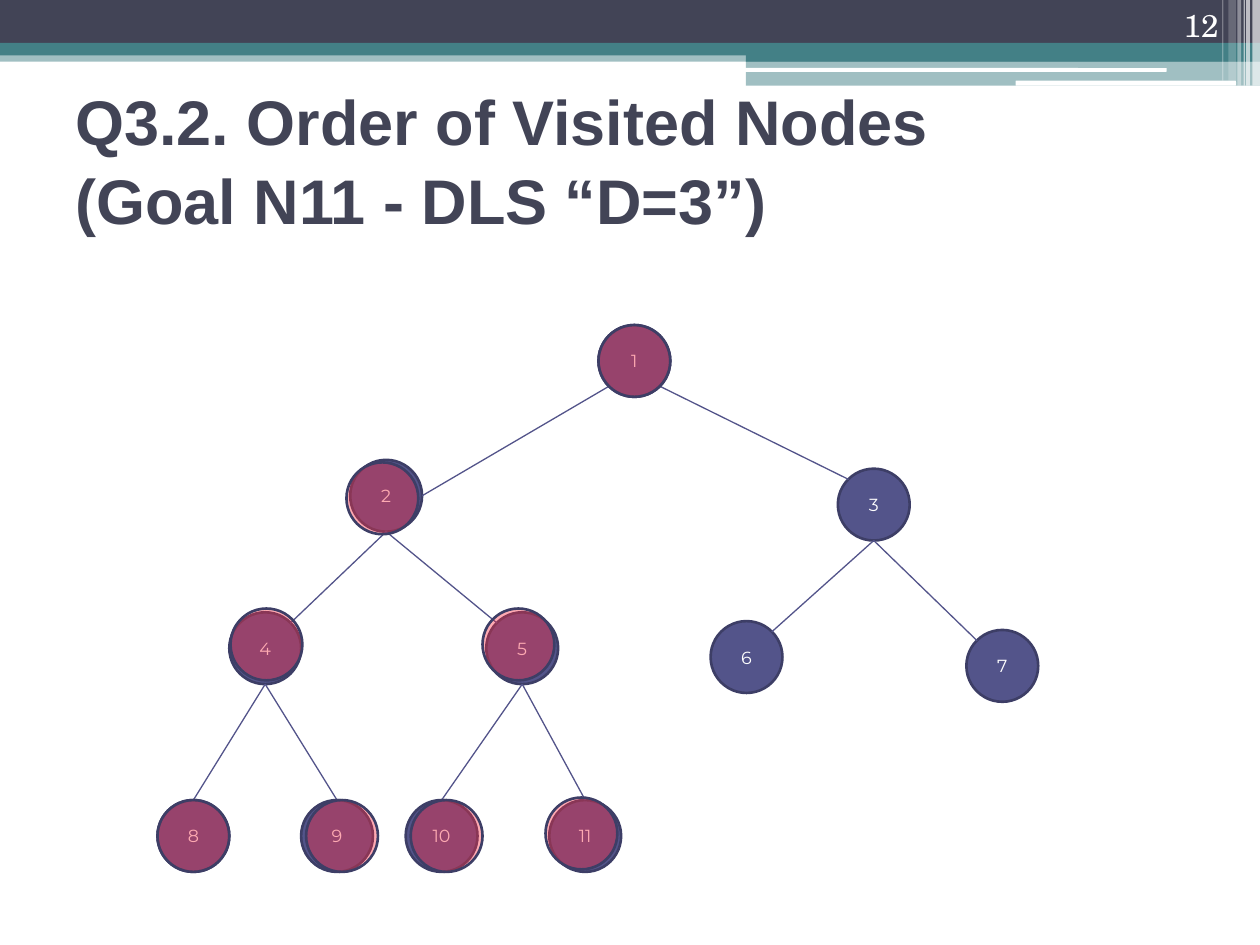
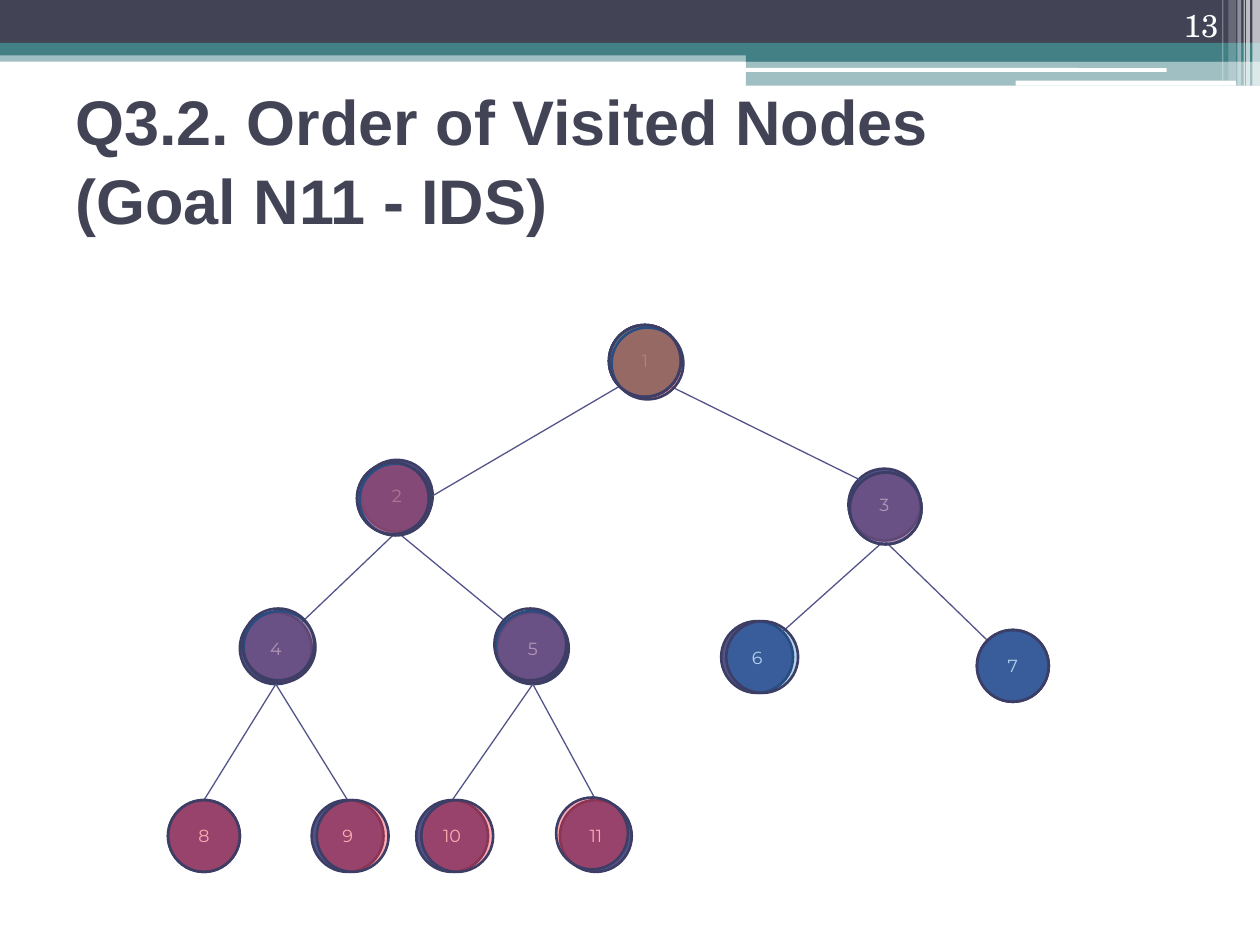
import dataclasses
import enum
import typing

import pptx
import pptx.dml.color
import pptx.enum.shapes
import pptx.enum.text
import pptx.oxml
import pptx.oxml.ns
import pptx.util

COLORS = {
    "slate": "424456",
    "teal": "438086",
    "white": "FFFFFF",
    "node": "53548A",
    "outline": "3D3E66",
    "red": "FD2B3F",
    "blue": "0070C0",
    "yellow": "FFFF00",
}
COLUMNS, ROWS = 100, 75
CELL = pptx.util.Inches(0.1)
NODE_SIZE = 5.7
MARK_OPACITY = {"red": 40, "yellow": 40, "blue": 30}

MSO = pptx.enum.shapes.MSO_SHAPE
ALIGN = pptx.enum.text.PP_ALIGN
ANCHOR = pptx.enum.text.MSO_ANCHOR


class Box(typing.NamedTuple):
    col: float
    row: float
    cols: float
    rows: float


class Site(enum.Enum):
    TOP = (0.5, 0)
    BOTTOM = (0.5, 1)
    RIGHT = (1, 0.5)
    TOP_LEFT = (0.15, 0.15)
    TOP_RIGHT = (0.85, 0.15)
    BOTTOM_LEFT = (0.15, 0.85)
    BOTTOM_RIGHT = (0.85, 0.85)


@dataclasses.dataclass(frozen=True)
class Band:
    box: Box
    color: str
    opacity: int = 100
    shape: MSO = MSO.RECTANGLE


@dataclasses.dataclass(frozen=True)
class TextStyle:
    font: str
    size: int
    color: str
    bold: bool = False
    align: ALIGN = ALIGN.LEFT
    anchor: ANCHOR = ANCHOR.MIDDLE
    spacing: float = 1.0


class Edge(typing.NamedTuple):
    parent: int
    child: int
    start: Site
    end: Site


class Mark(typing.NamedTuple):
    node: int
    color: str
    dx: float = 0
    dy: float = 0


@dataclasses.dataclass(frozen=True)
class TreeSlide:
    title: str
    number: int
    shift: float
    marks: tuple[Mark, ...]


BANDS = (
    Band(Box(0, 4, COLUMNS, 0.9), "teal", 50),
    Band(Box(0, 0, COLUMNS, 3.4), "slate"),
    Band(Box(0, 3.4, COLUMNS, 1), "teal"),
    Band(Box(59.2, 3.9, 40.8, 1), "teal"),
    Band(Box(59.2, 4.8, 40.8, 2), "teal", 50),
    Band(Box(59.1, 5.4, 33.5, 0.3), "white", shape=MSO.ROUNDED_RECTANGLE),
    Band(Box(80.6, 6.4, 17.5, 0.4), "white", shape=MSO.ROUNDED_RECTANGLE),
    Band(Box(99.4, 0, 0.6, 6.8), "white", 65),
    Band(Box(98.9, 0, 0.3, 6.8), "white", 65),
    Band(Box(98.7, 0, 0.1, 6.8), "white", 60),
    Band(Box(98.2, 0, 0.3, 6.8), "white", 40),
    Band(Box(97.5, 0, 0.6, 6.4), "white", 20),
    Band(Box(97, 0, 0.1, 6.4), "white", 30),
)
TITLE_BOX = Box(5, 6.7, 90, 11.7)
NUMBER_BOX = Box(89.4, 0, 8.3, 4)
TITLE_STYLE = TextStyle("Arial", 36, "slate", bold=True, spacing=1.05)
NUMBER_STYLE = TextStyle("TeX Gyre Schola", 18, "white", align=ALIGN.RIGHT, anchor=ANCHOR.BOTTOM)
NODE_STYLE = TextStyle("Montserrat", 10, "white", align=ALIGN.CENTER)

NODES = {
    1: (47.5, 25.8),
    2: (27.8, 36.5),
    3: (66.5, 37.2),
    4: (18.2, 48.6),
    5: (38.6, 48.6),
    6: (56.4, 49.3),
    7: (76.7, 50),
    8: (12.5, 63.5),
    9: (23.9, 63.5),
    10: (32.2, 63.5),
    11: (43.6, 63.5),
}
EDGES = (
    Edge(1, 2, Site.BOTTOM_LEFT, Site.RIGHT),
    Edge(1, 3, Site.BOTTOM_RIGHT, Site.TOP_LEFT),
    *(
        Edge(parent, 2 * parent + side, Site.BOTTOM, end)
        for parent in (2, 3)
        for side, end in enumerate((Site.TOP_RIGHT, Site.TOP_LEFT))
    ),
    *(
        Edge(parent, 2 * parent + side, Site.BOTTOM, Site.TOP)
        for parent in (4, 5)
        for side in (0, 1)
    ),
)
LEAF_MARKS = (
    Mark(8, "red"),
    Mark(9, "red", 0.4),
    Mark(10, "red", 0.4),
    Mark(11, "red", -0.3, -0.2),
)
SLIDES = (
    TreeSlide(
        "Q3.2. Order of Visited Nodes \v(Goal N11 - DLS “D=3”)",
        12,
        0,
        (
            Mark(1, "red"),
            Mark(2, "red", -0.3, 0.2),
            Mark(4, "red", 0.1, -0.3),
            Mark(5, "red", -0.3, -0.3),
            *LEAF_MARKS,
        ),
    ),
    TreeSlide(
        "Q3.2. Order of Visited Nodes \v(Goal N11 - IDS)",
        13,
        0.84,
        (
            Mark(5, "red", -0.1, -0.1),
            Mark(4, "red", 0.3, -0.1),
            Mark(1, "red"),
            Mark(2, "red", -0.3, 0.2),
            Mark(3, "red", 0.1, 0.3),
            Mark(3, "blue", 0.1, 0.3),
            Mark(2, "red", -0.1, 0.3),
            Mark(2, "blue", -0.3, 0.2),
            Mark(1, "yellow"),
            Mark(1, "red", 0.2, 0.2),
            Mark(1, "blue"),
            Mark(4, "blue", 0.2, -0.3),
            Mark(5, "blue", -0.2, -0.3),
            *LEAF_MARKS,
            Mark(6, "blue", 0.4),
            Mark(7, "blue"),
        ),
    ),
)


def rgb(name: str) -> pptx.dml.color.RGBColor:
    return pptx.dml.color.RGBColor.from_string(COLORS[name])


def grid(*cells: float) -> list[int]:
    return [round(cell * CELL) for cell in cells]


def add_filled(shapes, kind: MSO, box: Box, color: str, opacity: int = 100):
    sp = shapes.add_shape(kind, *grid(*box))
    sp.shadow.inherit = False
    sp.fill.solid()
    sp.fill.fore_color.rgb = rgb(color)
    sp.line.fill.background()
    if opacity < 100:
        qn = pptx.oxml.ns.qn
        clr = sp._element.spPr.find(qn("a:solidFill")).find(qn("a:srgbClr"))
        clr.append(pptx.oxml.parse_xml(
            f'<a:alpha {pptx.oxml.ns.nsdecls("a")} val="{opacity * 1000}"/>'))
    return sp


def add_circle(shapes, col: float, row: float, color: str, opacity: int = 100):
    sp = add_filled(shapes, MSO.OVAL, Box(col, row, NODE_SIZE, NODE_SIZE), color, opacity)
    sp.line.color.rgb = rgb("outline")
    sp.line.width = pptx.util.Pt(1.5)
    return sp


def write(sp, text: str, style: TextStyle) -> None:
    tf = sp.text_frame
    tf.word_wrap = True
    tf.vertical_anchor = style.anchor
    p = tf.paragraphs[0]
    p.text = text
    p.alignment = style.align
    p.line_spacing = style.spacing
    p.font.name = style.font
    p.font.size = pptx.util.Pt(style.size)
    p.font.bold = style.bold
    p.font.color.rgb = rgb(style.color)


def add_edge(shapes, edge: Edge, shift: float) -> None:
    ends = []
    for node, site in ((edge.parent, edge.start), (edge.child, edge.end)):
        col, row = NODES[node]
        across, down = site.value
        ends += [col + shift + across * NODE_SIZE, row + down * NODE_SIZE]
    line = shapes.add_connector(pptx.enum.shapes.MSO_CONNECTOR.STRAIGHT, *grid(*ends))
    line.line.color.rgb = rgb("node")
    line.line.width = pptx.util.Pt(0.75)
    line._element.spPr.append(
        pptx.oxml.parse_xml(f'<a:effectLst {pptx.oxml.ns.nsdecls("a")}/>'))


def add_tree(s, shift: float) -> None:
    tree = s.shapes.add_group_shape().shapes
    for label, (col, row) in NODES.items():
        sp = add_circle(tree, col + shift, row, "node")
        tf = sp.text_frame
        tf.margin_left = tf.margin_right = tf.margin_top = tf.margin_bottom = 0
        write(sp, str(label), NODE_STYLE)
    for edge in EDGES:
        add_edge(tree, edge, shift)


def add_frame(s, title: str, number: int) -> None:
    for band in BANDS:
        add_filled(s.shapes, band.shape, band.box, band.color, band.opacity)
    write(s.shapes.add_textbox(*grid(*TITLE_BOX)), title, TITLE_STYLE)
    write(s.shapes.add_textbox(*grid(*NUMBER_BOX)), str(number), NUMBER_STYLE)


def build_slide(prs, content: TreeSlide) -> None:
    s = prs.slides.add_slide(prs.slide_layouts[6])
    add_frame(s, content.title, content.number)
    add_tree(s, content.shift)
    for mark in content.marks:
        col, row = NODES[mark.node]
        add_circle(s.shapes, col + content.shift + mark.dx, row + mark.dy,
                   mark.color, MARK_OPACITY[mark.color])


def main() -> None:
    prs = pptx.Presentation()
    prs.slide_width, prs.slide_height = grid(COLUMNS, ROWS)
    for content in SLIDES:
        build_slide(prs, content)
    prs.save("out.pptx")


if __name__ == "__main__":
    main()
